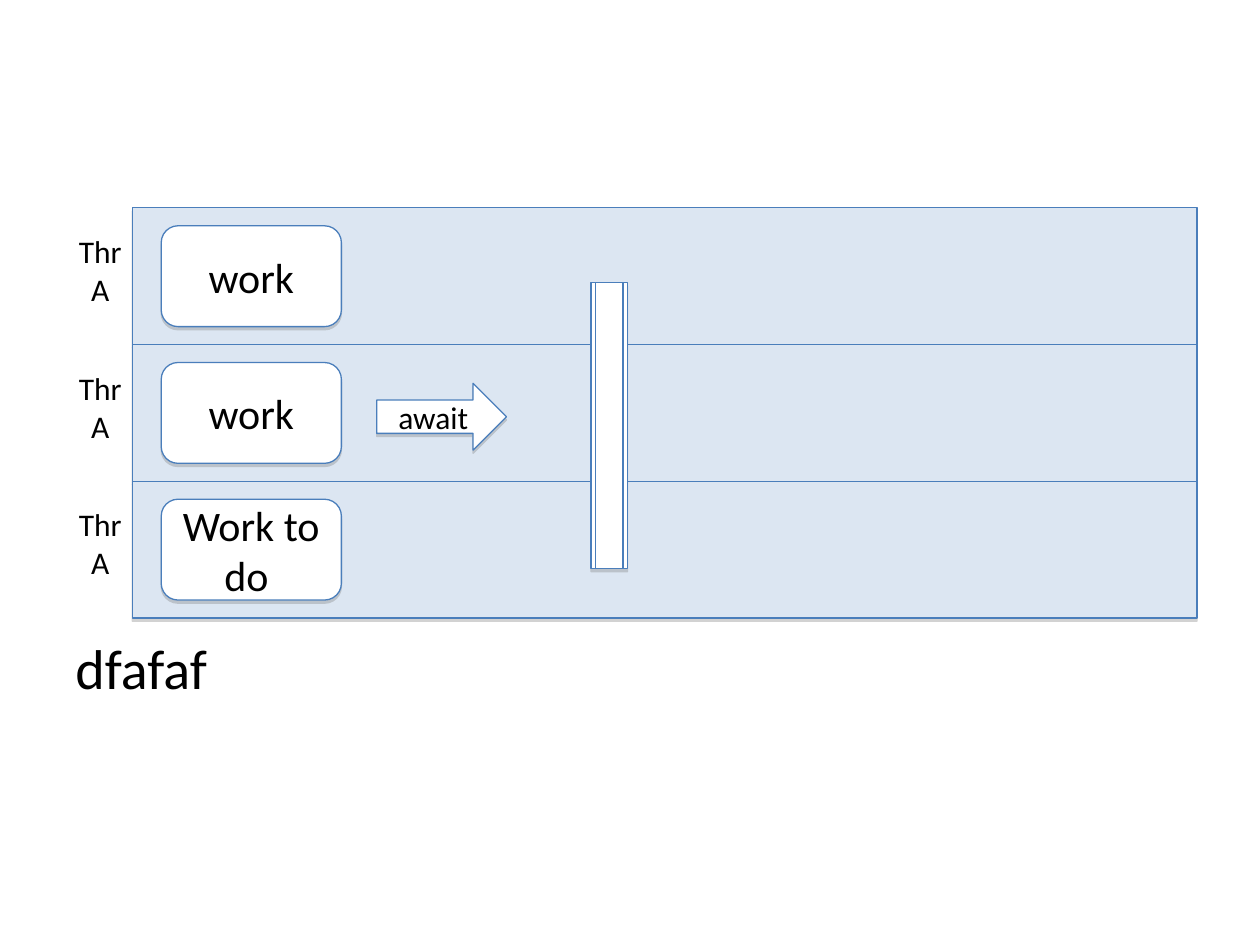
from lxml import etree
from pptx import Presentation
from pptx import util as u
from pptx.dml.color import RGBColor
from pptx.enum import shapes, text
from pptx.oxml.ns import qn

COLORS = {"lane": "DCE6F2", "box": "FFFFFF", "edge": "4A7EBB",
          "shadow": "808080", "ink": "000000"}
FONT = "Calibri"
LANES = [("Thr A", "work"), ("Thr A", "work"), ("Thr A", "Work to do ")]
AWAIT = "await"
CAPTION = "dfafaf"

SLIDE_W, SLIDE_H = 10, 7.5
MARGIN = 0.05 * SLIDE_W
LANE_LEFT, LANE_TOP = 1.05, 0.22 * SLIDE_H
LANE_W, LANE_H = 0.95 * SLIDE_W - LANE_LEFT, 1.085
WORK_W, WORK_H = 1.43, 0.8
LABEL_W, LABEL_H = 0.59, 0.7
AWAIT_W, AWAIT_H = 1.03, 0.53
BARRIER_W, BARRIER_H = 0.29, 2.27
KIND = shapes.MSO_SHAPE

prs = Presentation()
prs.slide_width, prs.slide_height = u.Inches(SLIDE_W), u.Inches(SLIDE_H)
slide = prs.slides.add_slide(prs.slide_layouts[6])


def write(holder, words, size=18, align=text.PP_ALIGN.CENTER,
          anchor=text.MSO_ANCHOR.TOP, spacing=None, before=None):
    frame = holder.text_frame
    frame.word_wrap = True
    frame.vertical_anchor = anchor
    paragraph = frame.paragraphs[0]
    paragraph.alignment = align
    if spacing:
        paragraph.line_spacing = spacing
    if before:
        paragraph.space_before = u.Pt(before)
    run = paragraph.add_run()
    run.text = words
    run.font.name, run.font.size = FONT, u.Pt(size)
    run.font.color.rgb = RGBColor.from_string(COLORS["ink"])


def add_label(words, left, top, width, height, **style):
    box = slide.shapes.add_textbox(*map(u.Inches, (left, top, width, height)))
    write(box, words, **style)


def cast_shadow(part):
    part.shadow.inherit = False
    effects = part._element.spPr.find(qn("a:effectLst"))
    shadow = etree.SubElement(effects, qn("a:outerShdw"), blurRad="0",
                              dist=str(u.Pt(1.8)), dir="5400000", rotWithShape="0")
    tint = etree.SubElement(shadow, qn("a:srgbClr"), val=COLORS["shadow"])
    etree.SubElement(tint, qn("a:alpha"), val="35000")


def add_part(kind, left, top, width, height, fill="box", words=None, size=18):
    part = slide.shapes.add_shape(kind, *map(u.Inches, (left, top, width, height)))
    part.fill.solid()
    part.fill.fore_color.rgb = RGBColor.from_string(COLORS[fill])
    part.line.color.rgb = RGBColor.from_string(COLORS["edge"])
    part.line.width = u.Pt(0.75)
    cast_shadow(part)
    if words:
        write(part, words, size=size, anchor=text.MSO_ANCHOR.MIDDLE)


add_label(CAPTION, MARGIN, 5.21, SLIDE_W - 2 * MARGIN, 1.24, size=32,
          align=text.PP_ALIGN.LEFT, spacing=0.5, before=8)

for row, (thread, work) in enumerate(LANES):
    lane_top = LANE_TOP + row * LANE_H
    work_top = lane_top + (LANE_H - WORK_H) / 2
    add_part(KIND.FLOWCHART_PROCESS, LANE_LEFT, lane_top, LANE_W, LANE_H, fill="lane")
    add_part(KIND.FLOWCHART_ALTERNATE_PROCESS, 1.28, work_top, WORK_W, WORK_H,
             words=work, size=24)
    add_label(thread, MARGIN, work_top, LABEL_W, LABEL_H)

lanes_middle = LANE_TOP + len(LANES) * LANE_H / 2
add_part(KIND.RIGHT_ARROW, 2.99, lanes_middle - AWAIT_H / 2 + 0.03, AWAIT_W, AWAIT_H,
         words=AWAIT)
add_part(KIND.FLOWCHART_PREDEFINED_PROCESS, 4.69, lanes_middle - BARRIER_H / 2 + 0.1,
         BARRIER_W, BARRIER_H)

prs.save("out.pptx")
